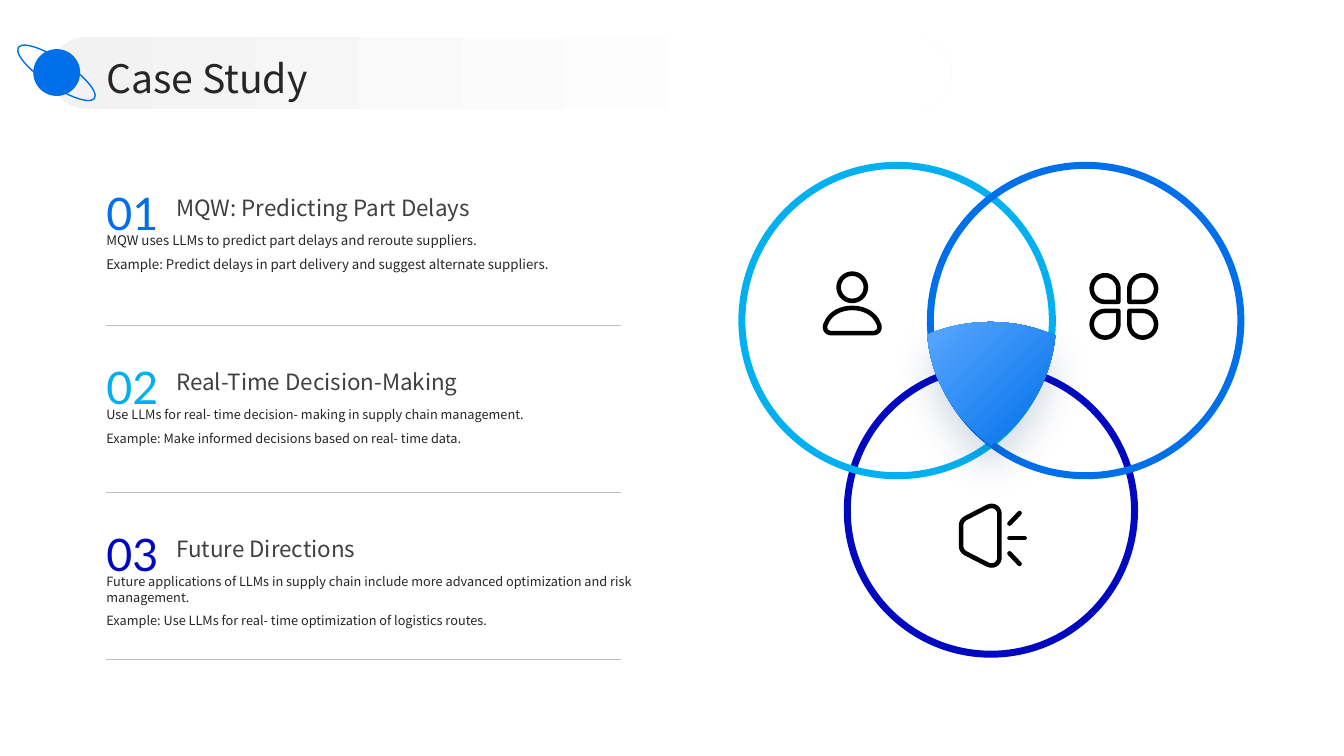
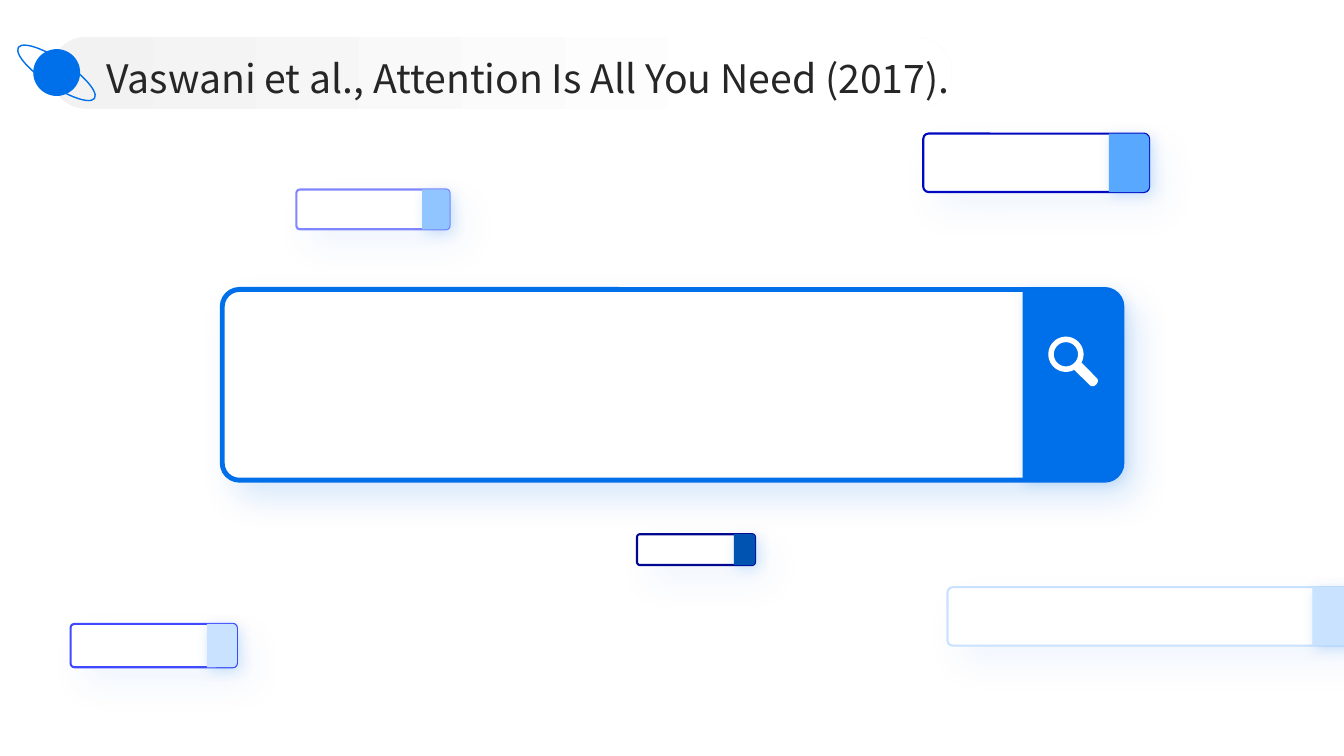
from math import cos, radians, sin

from lxml.etree import SubElement as Sub
from pptx import Presentation as Deck
from pptx.dml.color import RGBColor as RGB
from pptx.enum.shapes import MSO_CONNECTOR as Link, MSO_SHAPE as Kind
from pptx.enum.text import MSO_ANCHOR as Anchor, PP_ALIGN as Align
from pptx.oxml.ns import qn
from pptx.util import Inches, Pt

# The slide is a grid of square cells, ten to the inch.
CELL = Inches(0.1)
COLS, ROWS = 133.33, 75
LEFT = 10.55

SANS, LATO = "Noto Sans CJK SC", "Lato"

BLUE = RGB(0x00, 0x6F, 0xEA)
CYAN = RGB(0x00, 0xB0, 0xF0)
NAVY = RGB(0x00, 0x09, 0xC0)
DEEP = RGB(0x00, 0x07, 0x90)
OCEAN = RGB(0x00, 0x53, 0xB0)
SHADE = RGB(0x00, 0x37, 0x75)
VIOLET = RGB(0x40, 0x49, 0xFF)
LILAC = RGB(0x80, 0x86, 0xFF)
SKY = RGB(0x59, 0xA8, 0xFF)
PALE = RGB(0x91, 0xC5, 0xFF)
ICE = RGB(0xC8, 0xE2, 0xFF)
WHITE = RGB(0xFF, 0xFF, 0xFF)
MIST = RGB(0xF2, 0xF2, 0xF2)
GREY = RGB(0xBF, 0xBF, 0xBF)
SLATE = RGB(0x40, 0x40, 0x40)
INK = RGB(0x26, 0x26, 0x26)
BLACK = RGB(0, 0, 0)
PEN = 3.25

# Top, number colour, body size, heading, body lines
SECTIONS = [
    (17.55, BLUE, 9.5, "MQW: Predicting Part Delays",
     "MQW uses LLMs to predict part delays and reroute suppliers.",
     "Example: Predict delays in part delivery and suggest alternate suppliers."),
    (34.85, CYAN, 9.1, "Real-Time Decision-Making",
     "Use LLMs for real- time decision- making in supply chain management.",
     "Example: Make informed decisions based on real- time data."),
    (51.4, NAVY, 9.1, "Future Directions",
     "Future applications of LLMs in supply chain include more advanced "
     "optimization and risk management.",
     "Example: Use LLMs for real- time optimization of logistics routes."),
]

# Left, top, width, height, line colour, tab colour
BARS = [
    (91.6, 13.25, 22.4, 5.8, NAVY, SKY),
    (94, 58.25, 40.2, 5.8, ICE, ICE),
    (7, 61.9, 16.5, 4.3, VIOLET, ICE),
    (29.4, 18.8, 15.2, 3.95, LILAC, PALE),
    (63.2, 53, 11.7, 3.05, DEEP, OCEAN),
]


def grid(*cells):
    return [round(n * CELL) for n in cells]


def paint(shape, fill=None, line=None, width=1):
    shape.shadow.inherit = False
    if fill is None:
        shape.fill.background()
    else:
        shape.fill.solid()
        shape.fill.fore_color.rgb = fill
    if line is None:
        shape.line.fill.background()
    else:
        shape.line.color.rgb = line
        shape.line.width = Pt(width)
    return shape


def draw(slide, kind, box, fill=None, line=None, width=1):
    return paint(slide.shapes.add_shape(kind, *grid(*box)), fill, line, width)


def ring(slide, x, y, radius, line, width):
    box = (x - radius, y - radius, 2 * radius, 2 * radius)
    return draw(slide, Kind.OVAL, box, None, line, width)


def blend(shape, angle, *stops):
    """Gradient fill; each stop is a colour and a share from 0 to 1."""
    shape.fill.gradient()
    shape.fill.gradient_angle = angle
    for stop, (color, place) in zip(shape.fill.gradient_stops, stops):
        stop.color.rgb = color
        stop.position = place


def shade(shape, color, alpha, blur, dist, angle):
    """Outer shadow: alpha in percent, blur and dist in points."""
    effects = shape.element.spPr.find(qn("a:effectLst"))
    outer = Sub(effects, qn("a:outerShdw"), blurRad=str(Pt(blur)),
                dist=str(Pt(dist)), dir=str(angle * 60000), rotWithShape="0")
    tint = Sub(outer, qn("a:srgbClr"), val=str(color))
    Sub(tint, qn("a:alpha"), val=str(alpha * 1000))


def rule(slide, start, end, color, width):
    line = slide.shapes.add_connector(Link.STRAIGHT, *grid(*start, *end))
    line.line.color.rgb = color
    line.line.width = Pt(width)
    Sub(line.element.spPr, qn("a:effectLst"))


def bend(a, b, c, d, steps=16):
    """Points along a cubic curve."""
    dots = []
    for i in range(steps + 1):
        t = i / steps
        u = 1 - t
        mix = (u ** 3, 3 * u * u * t, 3 * u * t * t, t ** 3)
        dots.append([sum(m * p[k] for m, p in zip(mix, (a, b, c, d)))
                     for k in (0, 1)])
    return dots


def arc(x, y, radius, first=0, last=360, steps=40):
    """Points along a circle, in degrees clockwise from the right."""
    turns = [radians(first + (last - first) * i / steps)
             for i in range(steps + 1)]
    return [(x + radius * cos(t), y + radius * sin(t)) for t in turns]


def outline(slide, *loops):
    """One shape made of closed loops of points."""
    loops = [[grid(*dot) for dot in loop] for loop in loops]
    pen = slide.shapes.build_freeform(*loops[0][0])
    for i, loop in enumerate(loops):
        if i:
            pen.move_to(*loop[0])
        pen.add_line_segments(loop[1:], close=True)
    return pen.convert_to_shape()


def icon(slide, *loops):
    """Black line drawing with round ends and joins."""
    shape = paint(outline(slide, *loops), None, BLACK, PEN)
    line = shape.element.spPr.get_or_add_ln()
    line.set("cap", "rnd")
    Sub(line, qn("a:round"))


def style(frame, size, color, font=SANS, space=1.0, anchor=Anchor.TOP):
    frame.word_wrap = True
    frame.vertical_anchor = anchor
    frame.margin_left = frame.margin_right = 0
    frame.margin_top = frame.margin_bottom = 0
    for para in frame.paragraphs:
        para.alignment = Align.LEFT
        para.line_spacing = space
        for run in para.runs:
            run.font.size = Pt(size)
            run.font.name = font
            run.font.color.rgb = color


def write(slide, box, text, *look, **more):
    frame = slide.shapes.add_textbox(*grid(*box)).text_frame
    frame.text = text
    style(frame, *look, **more)
    return frame


def start(deck, text):
    """New slide with the title band, planet and title."""
    slide = deck.slides.add_slide(deck.slide_layouts[5])
    band = draw(slide, Kind.ROUNDED_RECTANGLE, (5, 3.65, 89.4, 7.15), MIST)
    band.adjustments[0] = 0.5
    blend(band, 0, (MIST, 0), (WHITE, 0.8))
    draw(slide, Kind.OVAL, (3.3, 4.87, 4.65, 4.65), BLUE)
    orbit = draw(slide, Kind.OVAL, (1.05, 5.93, 9.1, 2.6), None, BLUE)
    orbit.rotation = 33.8
    title = slide.shapes.title
    title.left, title.top, title.width, title.height = grid(
        LEFT, 4.9, 116.7, 5.1)
    title.text_frame.text = text
    style(title.text_frame, 28, INK, space=1.1, anchor=Anchor.MIDDLE)
    title.element.getparent().append(title.element)
    return slide


def section(slide, index, top, color, size, name, *lines):
    write(slide, (LEFT, top, 6.7, 5.8), f"{index + 1:02}", 32, color,
          LATO, space=1.16)
    write(slide, (17.5, top + 0.35, 49.6, 4), name, 16, SLATE,
          space=1.3, anchor=Anchor.BOTTOM)
    body = write(slide, (LEFT, top + 5.53, 56.5, 6), "\n".join(lines),
                 size, INK, space=Pt(11))
    for para in body.paragraphs[1:]:
        para.space_before = Pt(6)
    foot = 32.3 + 16.55 * index
    rule(slide, (LEFT, foot), (61.65, foot), GREY, 1)


def person(slide):
    body = (
        bend((82.55, 33.05), (81.8, 33.05), (81.75, 32.4), (81.95, 32.1))
        + bend((81.95, 32.1), (82.7, 30.03), (86.4, 30.03), (87.15, 32.1))
        + bend((87.15, 32.1), (87.35, 32.4), (87.3, 33.05), (86.55, 33.05)))
    icon(slide, arc(84.55, 28.5, 1.35), body)


def petals(slide):
    """Four round leaves whose tips face the middle."""
    radius, loops = 1.32, []
    for right, down, tip in ((-1, -1, 45), (1, -1, 135),
                             (1, 1, 225), (-1, 1, 315)):
        x, y = 111.5 + 1.87 * right, 30.4 + 1.77 * down
        leaf = arc(x, y, radius, tip + 45, tip + 315)
        loops.append(leaf + [(x - radius * right, y - radius * down)])
    icon(slide, *loops)


def speaker(slide):
    mid = 53.15
    top = (bend((95.35, 52.2), (95.35, 51.8), (95.5, 51.6), (95.8, 51.4))
           + bend((97.95, 50.3), (98.6, 50), (99.15, 50.4), (99.15, 51)))
    low = [(x, 2 * mid - y) for x, y in reversed(top)]
    rays = [[(100.15, near), (reach, far)] for near, far, reach in (
        (51.95, 50.9, 101.15), (53.4, 53.4, 101.65), (54.9, 55.95, 101.15))]
    icon(slide, top + low, *rays)


def venn(slide):
    ring(slide, 98.3, 50.65, 14.25, NAVY, 5)
    ring(slide, 89, 31.8, 15.4, CYAN, 5)
    ring(slide, 107.7, 31.8, 15.4, BLUE, 5)
    person(slide)
    petals(slide)
    speaker(slide)
    core = outline(
        slide,
        bend((104.7, 33.3), (104.3, 37.6), (102, 41.6), (98.3, 44.2))
        + bend((98.3, 44.2), (94.7, 41.5), (92.3, 37.6), (92, 33.2))
        + bend((92, 33.2), (96, 31.5), (100.7, 31.5), (104.7, 33.3)))
    paint(core, BLUE)
    blend(core, 135, (BLUE, 0), (SKY, 1))
    shade(core, SHADE, 16, 26, 16, 90)


def search(slide, x, y, wide, high, line, fill, width=1.5, share=0.69,
           alpha=5):
    """Search bar; share is the tab's width over the bar's height."""
    bar = draw(slide, Kind.ROUNDED_RECTANGLE, (x, y, wide, high), WHITE,
               line, width)
    bar.adjustments[0] = 0.09
    shade(bar, BLUE, alpha, 25, 15, 50)
    depth = share * high
    # The tab is a top-rounded box turned on its side.
    box = (x + wide - (depth + high) / 2, y + (high - depth) / 2,
           high, depth)
    tab = draw(slide, Kind.ROUND_2_SAME_RECTANGLE, box, fill)
    tab.adjustments[0] = 0.1 / share
    tab.rotation = 90
    shade(tab, BLUE, 20, 10, 3, 45)


def lens(slide):
    x, y = 105.75, 35.15
    rim = arc(x, y, 1.75, 62, 388)
    grip = bend((108.8, 37.5), (109.2, 37.9), (108.5, 38.6), (108.1, 38.2))
    hole = arc(x, y, 1.2, 360, 0)
    paint(outline(slide, rim + grip, hole), WHITE)


def main():
    deck = Deck()
    deck.slide_width, deck.slide_height = grid(COLS, ROWS)

    cases = start(deck, "Case Study")
    venn(cases)
    for index, entry in enumerate(SECTIONS):
        section(cases, index, *entry)

    paper = start(deck, "Vaswani et al., Attention Is All You Need (2017).")
    search(paper, 22.05, 28.72, 89.25, 18.92, BLUE, BLUE, 3.5, 0.52, 15)
    lens(paper)
    for bar in BARS:
        search(paper, *bar)

    deck.save("out.pptx")


if __name__ == "__main__":
    main()
